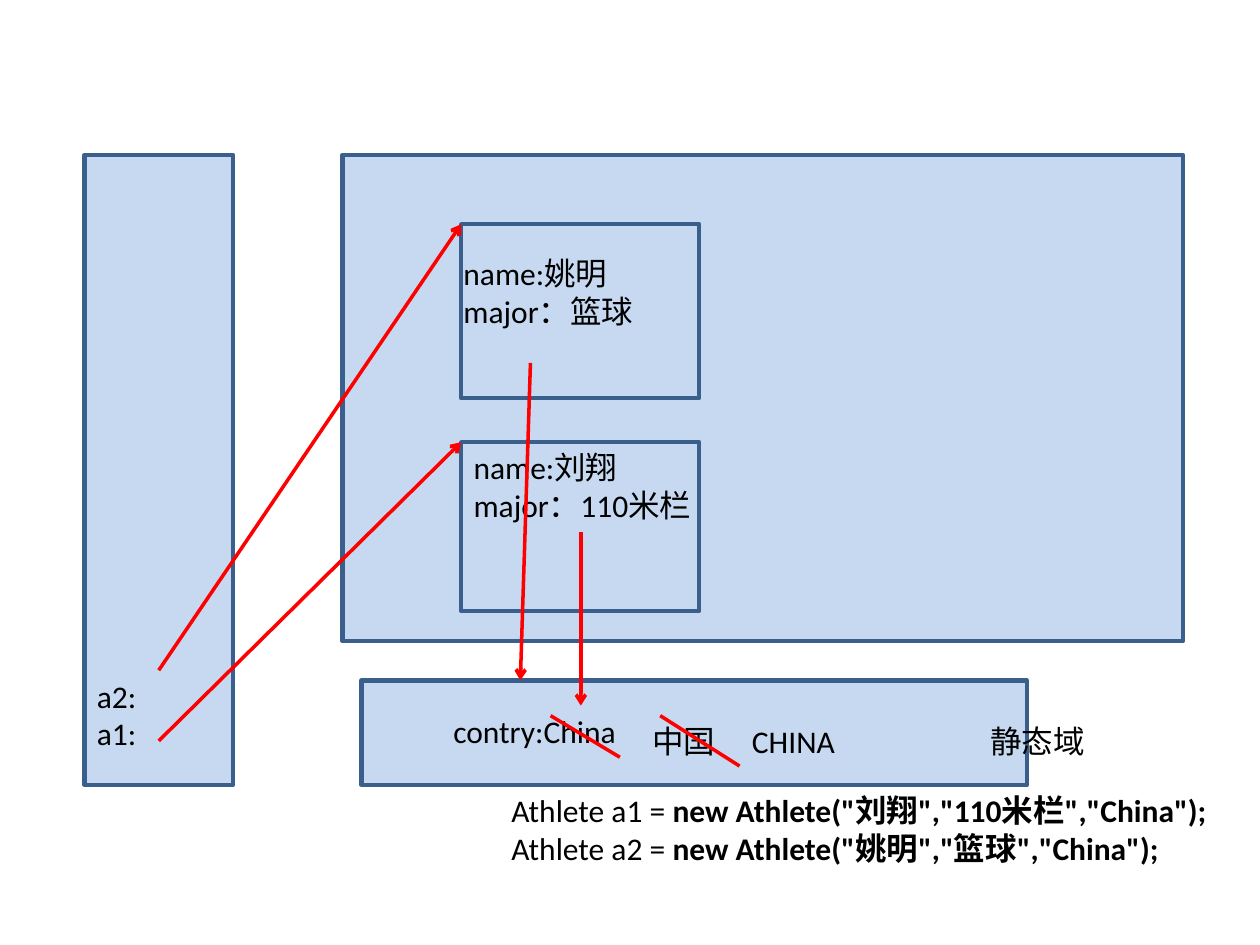
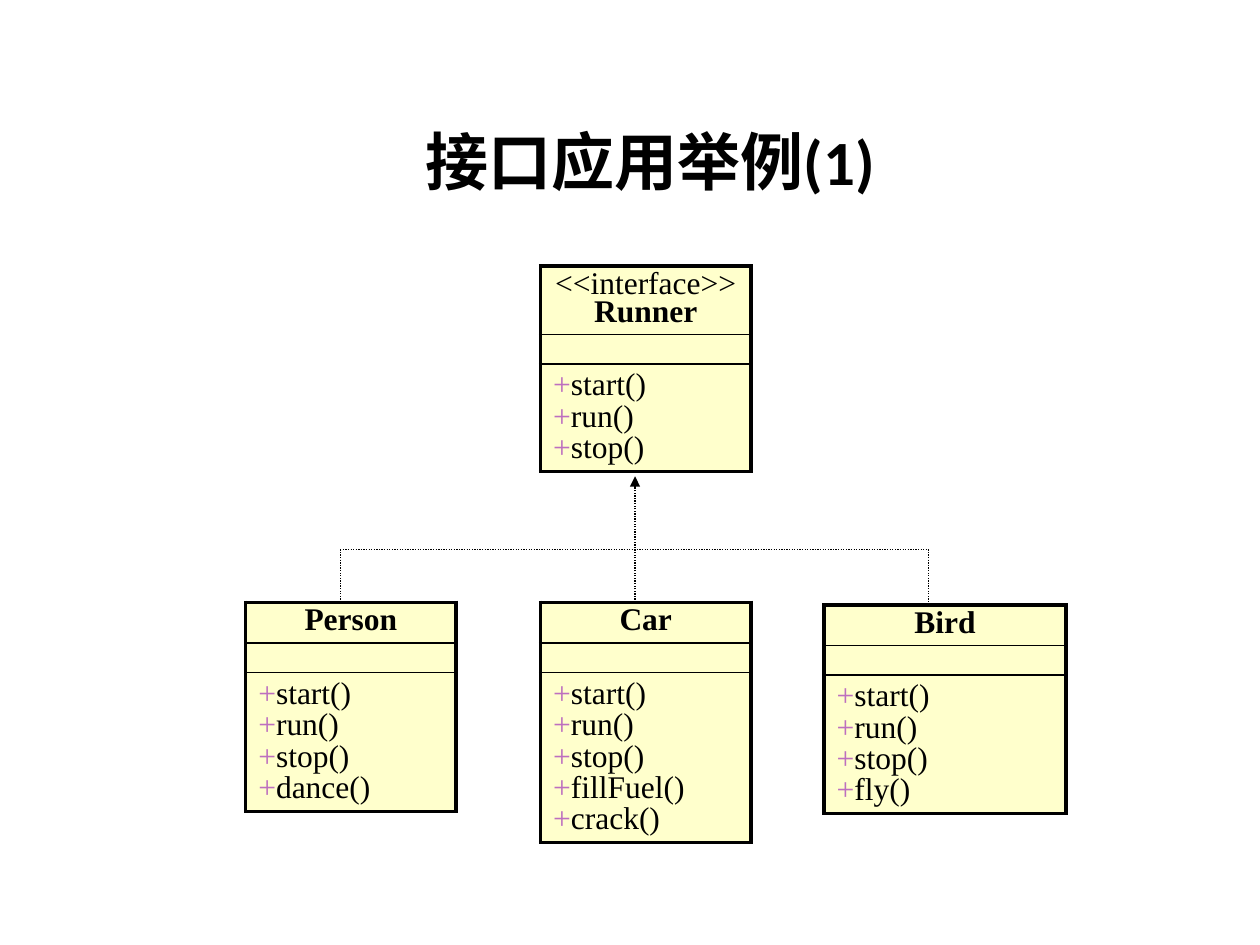
from dataclasses import dataclass

from lxml.etree import SubElement
from pptx import Presentation
from pptx.dml.color import RGBColor
from pptx.enum.dml import MSO_LINE
from pptx.enum.shapes import MSO_CONNECTOR, MSO_SHAPE
from pptx.enum.text import MSO_ANCHOR, MSO_AUTO_SIZE, PP_ALIGN
from pptx.oxml.ns import qn
from pptx.util import Inches, Pt


@dataclass(frozen=True)
class Theme:
    background: str = "FFFFFF"
    text: str = "000000"
    memory_fill: str = "C6D9F1"
    memory_line: str = "3A5F8C"
    reference: str = "FF0000"
    class_fill: str = "FFFFCC"
    visibility: str = "BD6FBF"
    sans: str = "Calibri"
    serif: str = "Times New Roman"
    title_size: int = 36
    body_size: int = 18
    empty_size: int = 8


T = Theme()

# Memory diagram: left, top, width, height
MEMORY_AREAS = [
    (0.67, 1.23, 1.18, 5),  # stack
    (2.72, 1.23, 6.67, 3.86),  # heap
    (3.66, 3.51, 1.89, 1.34),  # object a1
    (3.66, 1.78, 1.89, 1.38),  # object a2
    (2.87, 5.4, 5.28, 0.83),  # static area
]
# Each line is a list of (text, bold)
CODE = (3.96, 6.23, 6.04, 0.71, [
    [("Athlete a1 = ", False), ('new Athlete("刘翔","110米栏","China");', True)],
    [("Athlete a2 = ", False), ('new Athlete("姚明","篮球","China");', True)],
])
MEMORY_LABELS = [
    (0.67, 5.32, 1.18, 0.71, ["a2:", "a1:"]),
    (3.66, 3.51, 2.05, 0.71, ["name:刘翔", "major：110米栏"]),
    (3.58, 1.97, 2.05, 0.71, ["name:姚明", "major：篮球"]),
    (7.76, 5.68, 1.63, 0.4, ["静态域"]),
    (3.5, 5.6, 2.36, 0.4, ["contry:China"]),
    (5.08, 5.68, 0.97, 0.4, ["中国"]),
    (5.87, 5.68, 0.87, 0.4, ["CHINA"]),
]
REFERENCES = [
    ((1.26, 5.88), (3.66, 3.51)),
    ((1.26, 5.32), (3.66, 1.78)),
    ((4.21, 2.88), (4.13, 5.4)),
    ((4.61, 4.22), (4.61, 5.6)),
]
STRIKES = [((4.37, 5.68), (4.92, 6.01)), ((5.24, 5.68), (5.87, 6.08))]

# Class diagram: left, top, width, stereotype, name, own methods
TITLE = "接口应用举例(1)"
RUNNER_METHODS = ["start()", "run()", "stop()"]
CLASSES = [
    (4.29, 2.11, 1.67, "<<interface>>", "Runner", []),
    (1.95, 4.78, 1.67, None, "Person", ["dance()"]),
    (4.29, 4.78, 1.67, None, "Car", ["fillFuel()", "crack()"]),
    (6.54, 4.8, 1.92, None, "Bird", ["fly()"]),
]
BRANCH_XS = (2.7, 7.37)
TRUNK_X, BRANCH_Y, CLASS_TOP, ARROW_Y = 5.04, 4.36, 4.78, 3.78
ROW_PAD, NAME_LINE, METHOD_LINE, EMPTY_ROW = 0.1, 0.22, 0.25, 0.23


def rgb(value):
    return RGBColor.from_string(value)


def inches(*values):
    return [Inches(v) for v in values]


def write(tf, lines, font=T.sans, align=None, spacing=None):
    """Fill a text frame; each line is a list of (text, bold, colour)."""
    for i, line in enumerate(lines):
        p = tf.add_paragraph() if i else tf.paragraphs[0]
        p.alignment, p.line_spacing = align, spacing
        for text, bold, color in line:
            r = p.add_run()
            r.text = text
            r.font.name, r.font.size, r.font.bold = font, Pt(T.body_size), bold
            r.font.color.rgb = rgb(color)


def add_label(s, left, top, width, height, lines):
    tf = s.shapes.add_textbox(*inches(left, top, width, height)).text_frame
    tf.word_wrap = True
    tf.auto_size = MSO_AUTO_SIZE.SHAPE_TO_FIT_TEXT
    write(tf, [[(text, bold, T.text) for text, bold in line] for line in lines])


def add_area(s, box):
    sp = s.shapes.add_shape(MSO_SHAPE.RECTANGLE, *inches(*box))
    sp.shadow.inherit = False
    sp.fill.solid()
    sp.fill.fore_color.rgb = rgb(T.memory_fill)
    sp.line.color.rgb = rgb(T.memory_line)
    sp.line.width = Pt(2.5)


def add_line(s, start, end, color, width, dash=None, tail=None):
    line = s.shapes.add_connector(MSO_CONNECTOR.STRAIGHT, *inches(*start, *end))
    line.line.color.rgb = rgb(color)
    line.line.width = Pt(width)
    if dash:
        line.line.dash_style = dash
    sp_pr = line._element.spPr
    if tail:
        SubElement(sp_pr.find(qn("a:ln")), qn("a:tailEnd"), type=tail)
    SubElement(sp_pr, qn("a:effectLst"))


def style_cell(cell, top, bottom):
    tc_pr = cell._tc.get_or_add_tcPr()
    for side, width in (("L", 2.25), ("R", 2.25), ("T", top), ("B", bottom)):
        ln = SubElement(tc_pr, qn(f"a:ln{side}"), w=str(Pt(width)))
        fill = SubElement(ln, qn("a:solidFill"))
        SubElement(fill, qn("a:srgbClr"), val=T.text)
    cell.fill.solid()
    cell.fill.fore_color.rgb = rgb(T.class_fill)
    cell.vertical_anchor = MSO_ANCHOR.MIDDLE


def add_class(s, left, top, width, stereotype, name, own_methods):
    header = [[(stereotype, False, T.text)]] if stereotype else []
    header.append([(name, True, T.text)])
    methods = [[("+", False, T.visibility), (m, False, T.text)]
               for m in RUNNER_METHODS + own_methods]
    heights = [ROW_PAD + NAME_LINE * len(header), EMPTY_ROW,
               ROW_PAD + METHOD_LINE * len(methods)]
    frame = s.shapes.add_table(3, 1, *inches(left, top, width, sum(heights)))
    table = frame.table
    table.first_row = table.horz_banding = False
    for row, height in zip(table.rows, heights):
        row.height = Inches(height)
    name_cell, field_cell, method_cell = (row.cells[0] for row in table.rows)
    style_cell(name_cell, 2.25, 1)
    style_cell(field_cell, 1, 1)
    style_cell(method_cell, 1, 2.25)
    write(name_cell.text_frame, header, T.serif, PP_ALIGN.CENTER, 0.8)
    write(method_cell.text_frame, methods, T.serif, PP_ALIGN.JUSTIFY, 0.9)
    # The empty field row stays low only with a small font
    SubElement(field_cell.text_frame.paragraphs[0]._p, qn("a:endParaRPr"),
               sz=str(T.empty_size * 100))


def add_slide(prs, layout):
    s = prs.slides.add_slide(prs.slide_layouts[layout])
    s.background.fill.solid()
    s.background.fill.fore_color.rgb = rgb(T.background)
    return s


def build_memory(prs):
    s = add_slide(prs, 6)
    add_label(s, *CODE)
    for box in MEMORY_AREAS:
        add_area(s, box)
    for *box, lines in MEMORY_LABELS:
        add_label(s, *box, [[(text, False)] for text in lines])
    for start, end in REFERENCES:
        add_line(s, start, end, T.reference, 2, tail="arrow")
    for start, end in STRIKES:
        add_line(s, start, end, T.reference, 2)


def build_classes(prs):
    s = add_slide(prs, 5)
    title = s.shapes.title
    title.left, title.top, title.width, title.height = inches(2.7, 0.84, 4.92, 0.86)
    tf = title.text_frame
    tf.text = TITLE
    tf.vertical_anchor = MSO_ANCHOR.MIDDLE
    p = tf.paragraphs[0]
    p.alignment = PP_ALIGN.CENTER
    font = p.runs[0].font
    font.name, font.size, font.bold = T.sans, Pt(T.title_size), True
    font.color.rgb = rgb(T.text)

    for item in CLASSES:
        add_class(s, *item)

    # Dotted tree from the classes up to the interface
    left, right = BRANCH_XS
    tree = [((left, BRANCH_Y), (right, BRANCH_Y), None)]
    tree += [((x, BRANCH_Y), (x, CLASS_TOP), None) for x in BRANCH_XS]
    tree.append(((TRUNK_X, CLASS_TOP), (TRUNK_X, ARROW_Y), "triangle"))
    for start, end, tail in tree:
        add_line(s, start, end, T.text, 0.75, MSO_LINE.ROUND_DOT, tail)


def main():
    prs = Presentation()
    prs.slide_width, prs.slide_height = inches(10, 7.5)
    build_memory(prs)
    build_classes(prs)
    prs.save("out.pptx")


if __name__ == "__main__":
    main()
